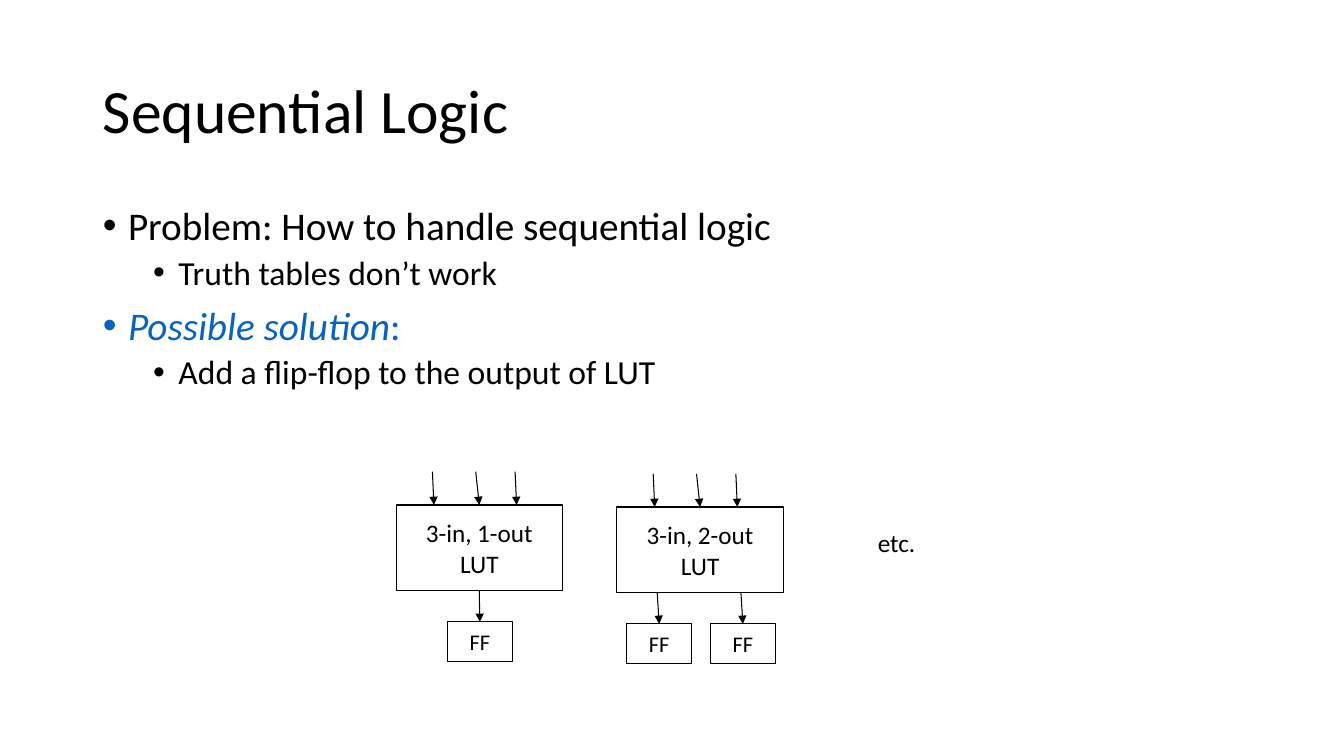
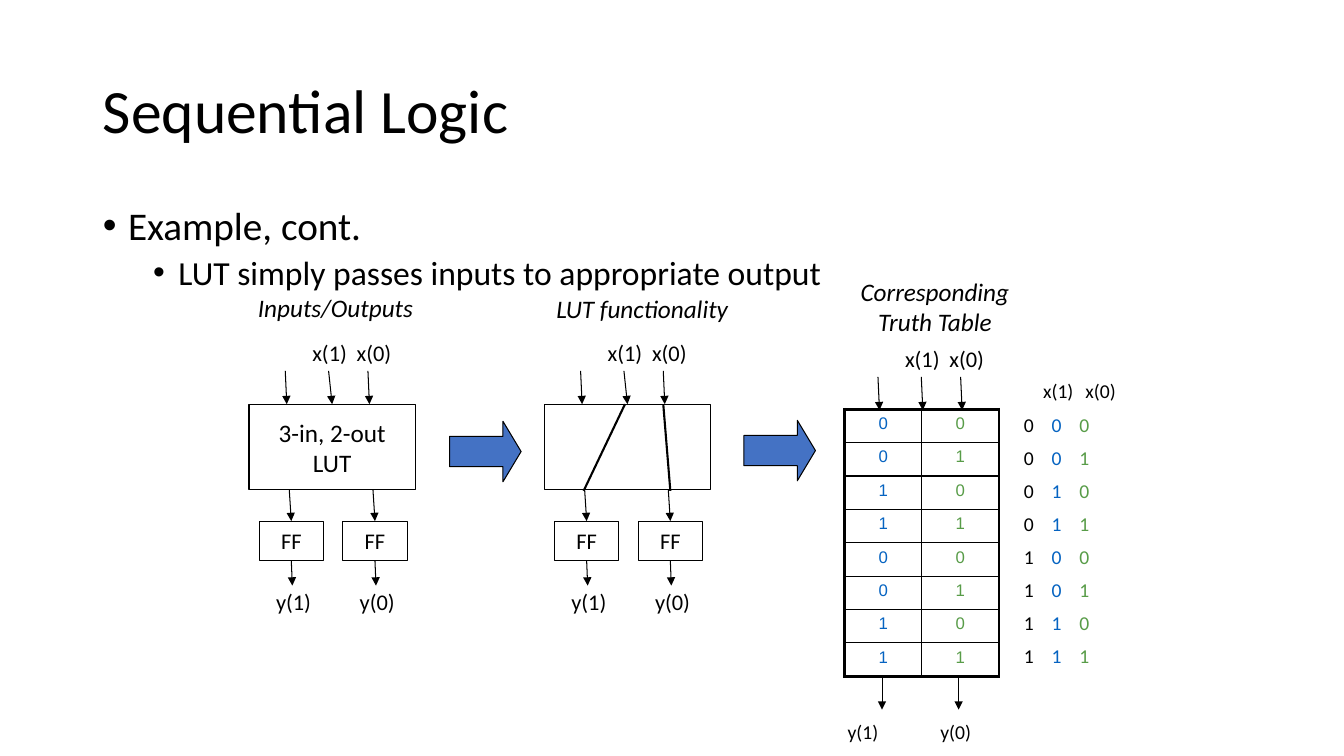
from dataclasses import dataclass
from typing import Any, Optional

from lxml import etree
from pptx import Presentation
from pptx import util as u
from pptx.dml.color import RGBColor
from pptx.enum import shapes, text
from pptx.oxml import ns

# Shared grid: one cell is a tenth of an inch
CELL = u.Inches(0.1)
COLUMNS, ROWS = 133.33, 75

# Shared look
BLACK, WHITE, BLUE, GREEN, ARROW_BLUE = "000000", "FFFFFF", "0563C1", "589C48", "4472C4"
FONT = "Calibri"
THIN, WIRE, TABLE_THIN, TABLE_THICK = 0.75, 1.5, 1, 2.25
CENTER, LEFT = text.PP_ALIGN.CENTER, text.PP_ALIGN.LEFT
LEVELS = (
    {"size": 28, "margin": 2.5, "before": 10},
    {"size": 24, "margin": 7.5, "before": 5},
)
TITLE_AREA = (9.2, 4, 115, 14.5)
BODY_AREA = (9.2, 20, 115, 47.6)

# Lookup table block, in cells from its top left corner
LUT_W, LUT_H = 16.5, 8.5
FF_W, FF_H, FF_TOP = 6.4, 3.9, 11.6
INPUTS = (3.6, 7.9, 11.8)
LEAD = 3.3
INPUT_LABELS = {"x(1)": 5.3, "x(0)": 9.7}
FF_SINGLE, FF_PAIR = (5.1,), (1, 9.3)


@dataclass
class Span:
    words: str
    color: str = BLACK
    italic: bool = False


@dataclass
class Bullet:
    spans: list[Span]
    level: int = 0


@dataclass
class Lut:
    left: float
    top: float
    lines: tuple[str, ...]
    flip_flops: tuple[float, ...]
    labelled: bool = False


@dataclass
class Caption:
    words: str
    area: tuple[float, float, float, float]
    size: float = 18
    italic: bool = False
    align: Any = LEFT


def cells(*counts: float) -> list[int]:
    return [round(count * CELL) for count in counts]


def paint(fill: Any, color: str) -> None:
    fill.solid()
    fill.fore_color.rgb = RGBColor.from_string(color)


def assign(target: Any, values: dict[str, Any]) -> None:
    for key, value in values.items():
        setattr(target, key, value)


def write(paragraph: Any, spans: list[Span], size: float, font: str = FONT) -> None:
    for span in spans:
        run = paragraph.add_run()
        run.text = span.words
        assign(run.font, {"name": font, "size": u.Pt(size), "italic": span.italic})
        paint(run.font.fill, span.color)


def add_part(paragraph: Any, tag: str, **attributes: str) -> Any:
    return etree.SubElement(paragraph._p.get_or_add_pPr(), ns.qn(tag), attributes)


# Titles and lists
def add_slide(deck: Any, title: str, bullets: list[Bullet]) -> Any:
    slide = deck.slides.add_slide(deck.slide_layouts[1])
    heading, body = slide.shapes.title, slide.placeholders[1]
    for holder, area, anchor in (
        (heading, TITLE_AREA, text.MSO_ANCHOR.MIDDLE),
        (body, BODY_AREA, text.MSO_ANCHOR.TOP),
    ):
        assign(holder, dict(zip(("left", "top", "width", "height"), cells(*area))))
        assign(holder.text_frame, {"vertical_anchor": anchor, "word_wrap": True,
                                   "auto_size": text.MSO_AUTO_SIZE.NONE})
    line = heading.text_frame.paragraphs[0]
    assign(line, {"alignment": LEFT, "line_spacing": 0.9})
    write(line, [Span(title)], 44)

    for number, bullet in enumerate(bullets):
        frame, style = body.text_frame, LEVELS[bullet.level]
        item = frame.add_paragraph() if number else frame.paragraphs[0]
        assign(item, {"level": bullet.level, "alignment": LEFT, "line_spacing": 0.9,
                      "space_before": u.Pt(style["before"] if number else 0)})
        margin, hang = cells(style["margin"], -2.5)
        item._p.get_or_add_pPr().set("marL", str(margin))
        item._p.get_or_add_pPr().set("indent", str(hang))
        add_part(item, "a:buFont", typeface="Arial")
        add_part(item, "a:buChar", char="•")
        write(item, bullet.spans, style["size"])
    return slide


# Text boxes
def add_box(slide: Any, area: tuple[float, ...], spans: list[Span], size: float,
            align: Any = LEFT) -> Any:
    frame = slide.shapes.add_textbox(*cells(*area)).text_frame
    frame.word_wrap = True
    frame.paragraphs[0].alignment = align
    write(frame.paragraphs[0], spans, size)
    return frame.paragraphs[0]


def add_caption(slide: Any, caption: Caption) -> None:
    add_box(slide, caption.area, [Span(caption.words, italic=caption.italic)],
            caption.size, caption.align)


# Shapes and lines
def add_block(slide: Any, area: tuple[float, ...], lines: tuple[str, ...] = (), size: float = 18,
              fill: Optional[str] = None, kind: Any = shapes.MSO_SHAPE.RECTANGLE) -> Any:
    block = slide.shapes.add_shape(kind, *cells(*area))
    block.shadow.inherit = False
    if fill:
        paint(block.fill, fill)
    else:
        block.fill.background()
    paint(block.line.fill, BLACK)
    block.line.width = u.Pt(THIN)
    frame = block.text_frame
    assign(frame, {"word_wrap": False, "vertical_anchor": text.MSO_ANCHOR.MIDDLE})
    for number, words in enumerate(lines):
        paragraph = frame.add_paragraph() if number else frame.paragraphs[0]
        paragraph.alignment = CENTER
        write(paragraph, [Span(words)], size)
    return block


def add_line(slide: Any, start: tuple[float, float], end: tuple[float, float],
             width: float = THIN, arrow: bool = True) -> Any:
    line = slide.shapes.add_connector(shapes.MSO_CONNECTOR.STRAIGHT, *cells(*start, *end))
    paint(line.line.fill, BLACK)
    line.line.width = u.Pt(width)
    properties = line.element.spPr
    if arrow:
        etree.SubElement(properties.find(ns.qn("a:ln")), ns.qn("a:tailEnd"), type="triangle")
    etree.SubElement(properties, ns.qn("a:effectLst"))
    return line


# Lookup table with its inputs and flip-flops
def add_inputs(slide: Any, left: float, top: float, labelled: bool) -> list[Any]:
    leads = [add_line(slide, (left + x, top - LEAD), (left + x + 0.15, top)) for x in INPUTS]
    if labelled:
        for name, x in INPUT_LABELS.items():
            add_caption(slide, Caption(name, (left + x, top - 6.9, 6.9, 3.7), 16))
    return leads


def add_lut(slide: Any, lut: Lut) -> None:
    left, top = lut.left, lut.top
    table = add_block(slide, (left, top, LUT_W, LUT_H), lut.lines)
    leads = add_inputs(slide, left, top, lut.labelled)
    leads[1].end_connect(table, 0)
    for number, offset in enumerate(lut.flip_flops):
        x, y = left + offset, top + FF_TOP
        flip_flop = add_block(slide, (x, y, FF_W, FF_H), ("FF",), 16, WHITE)
        link = add_line(slide, (x + 3, top + LUT_H), (x + FF_W / 2, y))
        link.end_connect(flip_flop, 0)
        if len(lut.flip_flops) == 1:
            link.begin_connect(table, 2)
        if lut.labelled:
            bottom = y + FF_H
            out = add_line(slide, (x + FF_W / 2, bottom), (x + 3.3, bottom + 2.5))
            out.begin_connect(flip_flop, 2)
            add_caption(slide, Caption(f"y({1 - number})", (x + 0.7, top + 17.8, 6.9, 3.7), 16))


# Truth table
def add_border(cell: Any, side: str, width: float) -> None:
    edge = etree.SubElement(cell._tc.get_or_add_tcPr(), ns.qn(f"a:ln{side}"),
                            w=str(u.Pt(width)))
    fill = etree.SubElement(edge, ns.qn("a:solidFill"))
    etree.SubElement(fill, ns.qn("a:srgbClr"), val=BLACK)


def add_truth_table(slide: Any, left: float, top: float, width: float, height: float) -> None:
    count = 8
    grid = slide.shapes.add_table(count, 2, *cells(left, top, width, height)).table
    assign(grid, {"first_row": False, "horz_banding": False})
    for row in range(count):
        bits = f"{row:03b}"
        for column, color in enumerate((BLUE, GREEN)):
            cell = grid.cell(row, column)
            outer = {"L": column == 0, "R": column == 1, "T": row == 0, "B": row == count - 1}
            for side, thick in outer.items():
                add_border(cell, side, TABLE_THICK if thick else TABLE_THIN)
            cell.fill.background()
            value = cell.text_frame.paragraphs[0]
            value.alignment = CENTER
            write(value, [Span(bits[column + 1], color)], 12, "Arial")

        # Input bits beside the row
        spans = [Span(bits[0] + "\t"), Span(bits[1] + "\t", BLUE), Span(bits[2], GREEN)]
        entry = add_box(slide, (100.6, 40.5 + 3.27 * row, 10.4, 3.3), spans, 14)
        stops = add_part(entry, "a:tabLst")
        for stop in cells(2.75, 5.5):
            etree.SubElement(stops, ns.qn("a:tab"), pos=str(stop), algn="l")


def build_problem(deck: Any) -> None:
    slide = add_slide(deck, "Sequential Logic", [
        Bullet([Span("Problem: How to handle sequential logic")]),
        Bullet([Span("Truth tables don’t work")], 1),
        Bullet([Span("Possible solution", BLUE, True), Span(":", BLUE)]),
        Bullet([Span("Add a flip-flop to the output of LUT")], 1),
    ])
    add_lut(slide, Lut(61.2, 50.3, ("3-in, 2-out", "LUT"), FF_PAIR))
    add_lut(slide, Lut(39.3, 50.1, ("3-in, 1-out", "LUT"), FF_SINGLE))
    add_caption(slide, Caption("etc.", (86.1, 51.8, 17.5, 4)))


def build_example(deck: Any) -> None:
    slide = add_slide(deck, "Sequential Logic", [
        Bullet([Span("Example, cont.")]),
        Bullet([Span("LUT simply passes inputs to appropriate output")], 1),
    ])
    add_lut(slide, Lut(24.7, 40.1, ("3-in, 2-out", "LUT"), FF_PAIR, True))
    add_lut(slide, Lut(54, 40.1, (), FF_PAIR, True))

    # Wires inside the second block
    for start, end in ((62, 57.9), (65.8, 66.5)):
        add_line(slide, (start, 40.1), (end, 48.7), WIRE, arrow=False)

    # Truth table with its inputs and outputs
    add_truth_table(slide, 83.8, 40.6, 15.3, 26.5)
    add_inputs(slide, 83.5, 40.7, True)
    for x in (87.5, 95.1):
        add_line(slide, (x, 67.2), (x, 70.4))

    for caption in (
        Caption("y(1)", (83.1, 70.9, 6.5, 3.3), 14),
        Caption("y(0)", (92.3, 70.9, 7.7, 3.3), 14),
        Caption("x(1)", (102.5, 37.1, 5.7, 3.3), 14),
        Caption("x(0)", (106.7, 37.1, 6.9, 3.3), 14),
        Caption("Inputs/Outputs", (24.6, 28.5, 18.5, 4), italic=True),
        Caption("LUT functionality", (54.2, 28.6, 21.9, 4), italic=True),
        Caption("Corresponding Truth Table", (81.8, 26.9, 21.9, 7), italic=True, align=CENTER),
    ):
        add_caption(slide, caption)

    # Steps from one view to the next
    for left, top in ((44.6, 41.8), (73.8, 41.7)):
        step = add_block(slide, (left, top, 7.1, 6), fill=ARROW_BLUE,
                         kind=shapes.MSO_SHAPE.RIGHT_ARROW)
        step.adjustments[0], step.adjustments[1] = 0.5, 0.3


def main() -> None:
    deck = Presentation()
    deck.slide_width, deck.slide_height = cells(COLUMNS, ROWS)
    build_problem(deck)
    build_example(deck)
    deck.save("out.pptx")


if __name__ == "__main__":
    main()
